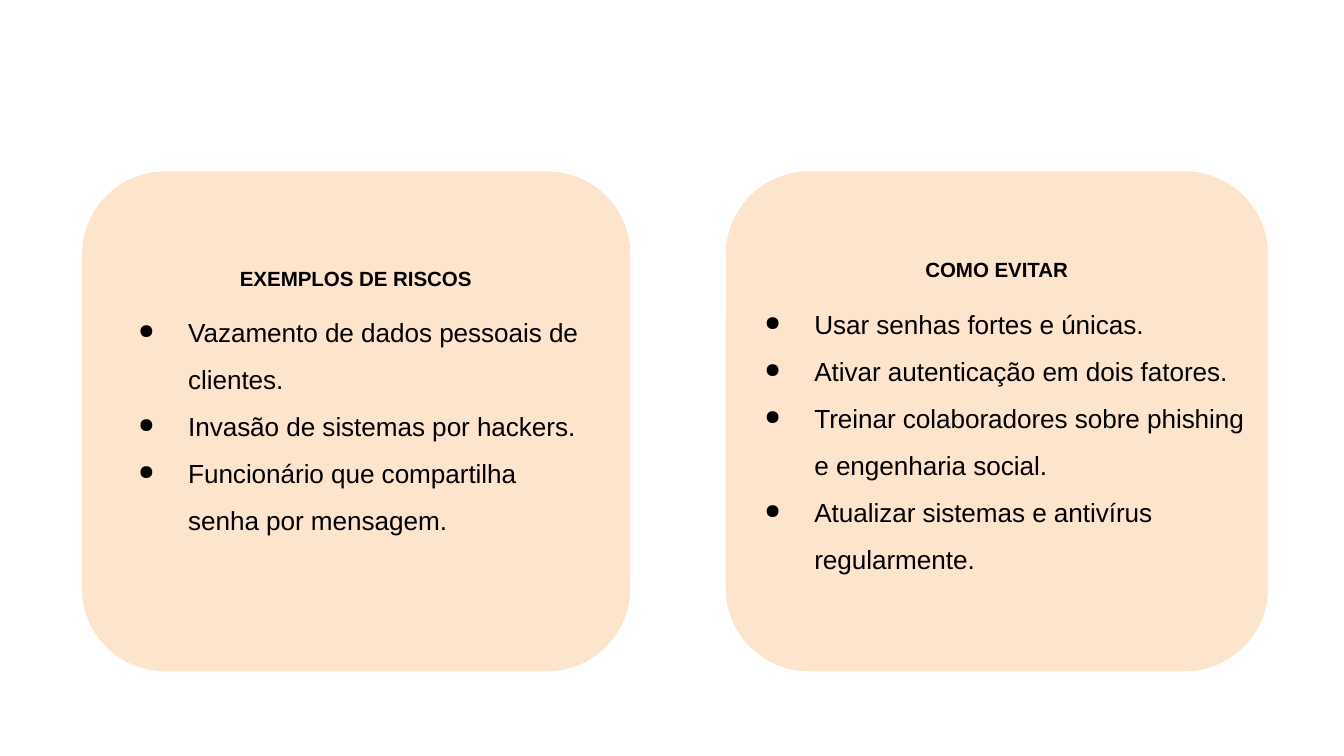
from lxml import etree
from pptx import Presentation
from pptx.dml.color import RGBColor
from pptx.enum.shapes import MSO_SHAPE
from pptx.oxml.ns import qn
from pptx.util import Emu, Pt

ROUND = MSO_SHAPE.ROUNDED_RECTANGLE
COLORS = {"card": "FCE4CD", "text": "000000"}
FONT = "Arial"
SCALE = 4572  # 200 px to the inch
CARD_TOP, CARD_HIGH, RADIUS = 255, 744, 124
HANG, INDENT = 74, 76

# Card left and width, title box, list box, title, items
CARDS = [
    (122, 816, (357, 394, 352, 42), (204, 446, 662, 356), "EXEMPLOS DE RISCOS",
     ["Vazamento de dados pessoais de clientes.",
      "Invasão de sistemas por hackers.",
      "Funcionário que compartilha senha por mensagem."]),
    (1080, 807, (1377, 380, 220, 42), (1136, 434, 726, 424), "COMO EVITAR",
     ["Usar senhas fortes e únicas.",
      "Ativar autenticação em dois fatores.",
      "Treinar colaboradores sobre phishing e engenharia social.",
      "Atualizar sistemas e antivírus regularmente."]),
]


def px(n):
    return Emu(n * SCALE)


def color(name):
    return RGBColor.from_string(COLORS[name])


def add_card(slide, left, width):
    card = slide.shapes.add_shape(
        ROUND, px(left), px(CARD_TOP), px(width), px(CARD_HIGH))
    card.adjustments[0] = RADIUS / CARD_HIGH
    card.shadow.inherit = False
    card.fill.solid()
    card.fill.fore_color.rgb = color("card")
    card.line.fill.background()


def add_text(slide, box, lines, size, bold=False):
    """Add a text box with one paragraph per line and return its paragraphs."""
    frame = slide.shapes.add_textbox(*map(px, box)).text_frame
    frame.word_wrap = True
    frame.margin_left = frame.margin_right = frame.margin_bottom = 0
    frame.margin_top = px(2)
    frame.text = "\n".join(lines)
    for para in frame.paragraphs:
        para.font.name = FONT
        para.font.size = Pt(size)
        para.font.bold = bold
        para.font.color.rgb = color("text")
        para._p.pPr.find(qn("a:defRPr")).set("spc", "-5")
    return frame.paragraphs


def add_list(slide, box, items):
    for para in add_text(slide, box, items, 14):
        para.line_spacing = 1.5
        props = para._p.get_or_add_pPr()
        props.set("marL", str(px(INDENT)))
        props.set("indent", str(px(-HANG)))
        base = props.find(qn("a:defRPr"))
        base.addprevious(etree.Element(qn("a:buSzPct"), val="78000"))
        base.addprevious(etree.Element(qn("a:buChar"), char="●"))


def main():
    deck = Presentation()
    deck.slide_width, deck.slide_height = px(2000), px(1125)
    slide = deck.slides.add_slide(deck.slide_layouts[6])
    for left, width, head, body, title, items in CARDS:
        add_card(slide, left, width)
        add_text(slide, head, [title], 11, bold=True)
        add_list(slide, body, items)
    deck.save("out.pptx")


if __name__ == "__main__":
    main()
